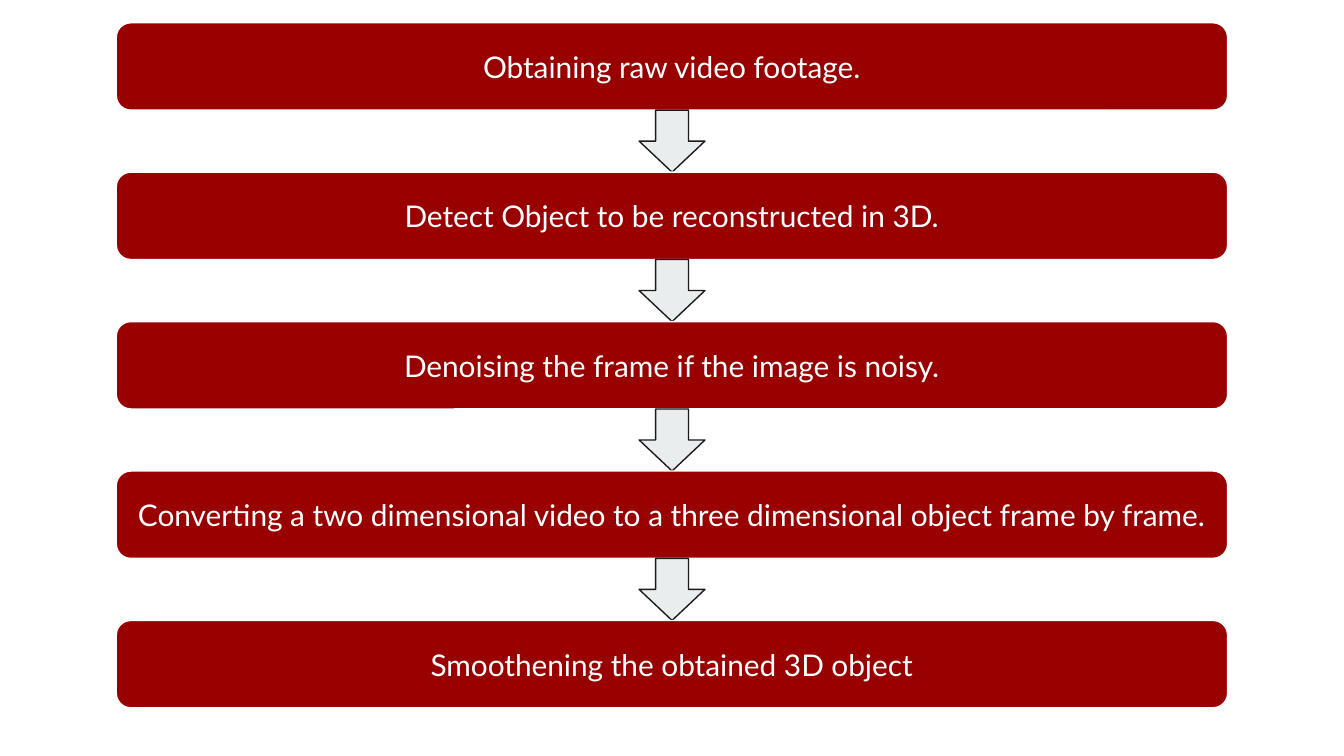
from dataclasses import dataclass

from pptx import Presentation
from pptx.dml.color import RGBColor
from pptx.enum.shapes import MSO_SHAPE
from pptx.enum.text import MSO_ANCHOR, PP_ALIGN
from pptx.util import Pt


@dataclass(frozen=True)
class Theme:
    back: str = "FFFFFF"
    step: str = "990000"
    text: str = "FFFFFF"
    edge: str = "FFFFFF"
    arrow: str = "E9EDEE"
    rim: str = "1A1A1A"
    font: str = "Lato"
    size: float = 16
    line: float = 0.75


THEME = Theme()

STEPS = [
    "Obtaining raw video footage.",
    "Detect Object to be reconstructed in 3D.",
    "Denoising the frame if the image is noisy.",
    "Converting a two dimensional video to a three dimensional object frame by frame.",
    "Smoothening the obtained 3D object",
]


def add_block(slide, kind, box, fill, line):
    """Add a flat filled shape; box is left, top, width, height in points."""
    shape = slide.shapes.add_shape(kind, *(Pt(n) for n in box))
    shape.shadow.inherit = False
    shape.fill.solid()
    shape.fill.fore_color.rgb = RGBColor.from_string(fill)
    shape.line.color.rgb = RGBColor.from_string(line)
    shape.line.width = Pt(THEME.line)
    return shape


def add_step(slide, box, text):
    shape = add_block(slide, MSO_SHAPE.ROUNDED_RECTANGLE, box, THEME.step, THEME.edge)
    frame = shape.text_frame
    frame.word_wrap = True
    frame.vertical_anchor = MSO_ANCHOR.MIDDLE
    frame.margin_left = frame.margin_right = Pt(7.2)
    frame.margin_top = frame.margin_bottom = Pt(7.2)
    frame.text = text
    para = frame.paragraphs[0]
    para.alignment = PP_ALIGN.CENTER
    font = para.runs[0].font
    font.name = THEME.font
    font.size = Pt(THEME.size)
    font.color.rgb = RGBColor.from_string(THEME.text)


def add_arrow(slide, mid, top, length, width):
    """Add an arrow that points down from top, centred on mid."""
    # The box is given before the quarter turn, about the same centre
    left = mid - length / 2
    box = (left, top + (length - width) / 2, length, width)
    shape = add_block(slide, MSO_SHAPE.RIGHT_ARROW, box, THEME.arrow, THEME.rim)
    shape.rotation = 90


def add_flow(slide, box, steps, high):
    """Stack the steps evenly in the box, with an arrow in each gap."""
    left, top, width, height = box
    pitch = (height - high) / (len(steps) - 1)
    for i, text in enumerate(steps):
        y = top + i * pitch
        add_step(slide, (left, y, width, high), text)
        if i < len(steps) - 1:
            add_arrow(slide, left + width / 2, y + high, pitch - high, 35.3)


def main():
    deck = Presentation()
    deck.slide_width, deck.slide_height = Pt(720), Pt(405)
    slide = deck.slides.add_slide(deck.slide_layouts[6])

    # Background
    slide.background.fill.solid()
    slide.background.fill.fore_color.rgb = RGBColor.from_string(THEME.back)

    # Process from footage to finished object
    add_flow(slide, (62.3, 12.2, 595.4, 367), STEPS, 46.8)
    deck.save("out.pptx")


if __name__ == "__main__":
    main()
